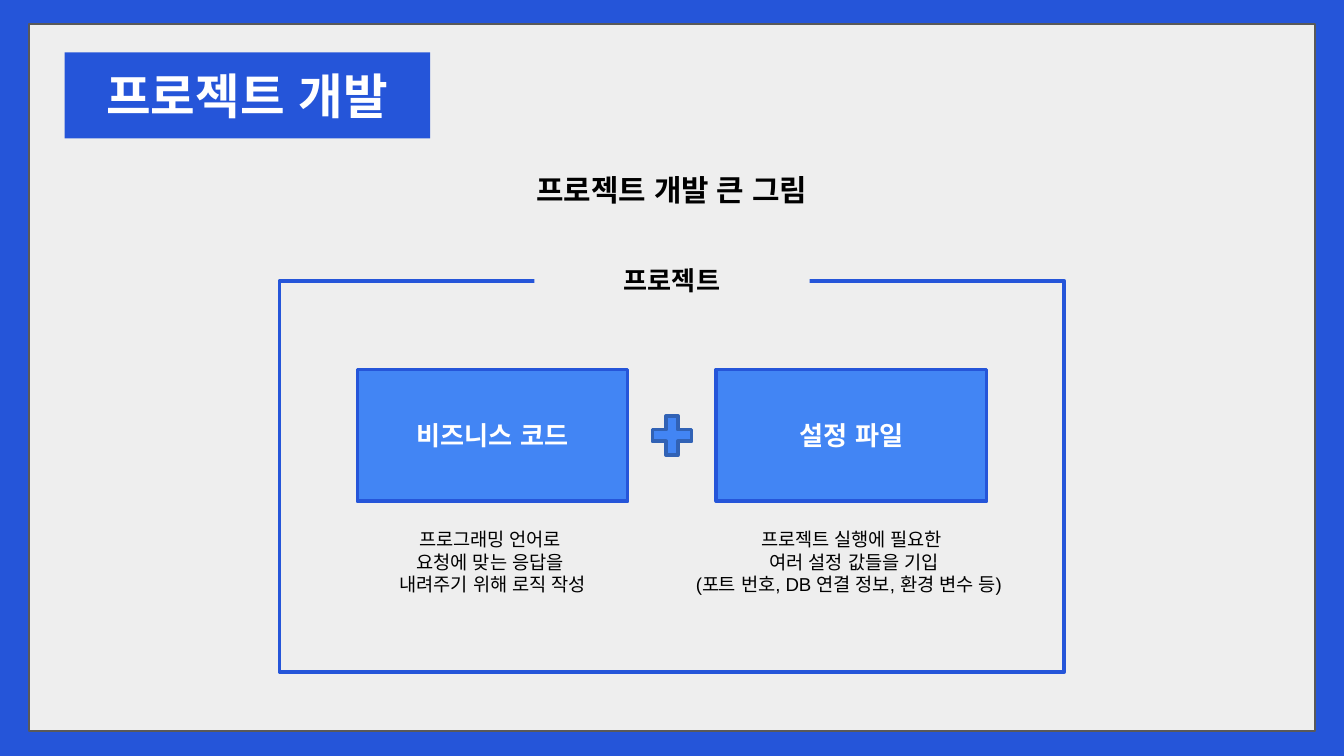
from lxml.etree import SubElement
from pptx import Presentation
from pptx.dml.color import RGBColor
from pptx.enum.shapes import MSO_SHAPE as Shape
from pptx.enum.text import MSO_ANCHOR as Anchor, MSO_AUTO_SIZE as AutoSize, PP_ALIGN as Align
from pptx.oxml.ns import qn
from pptx.util import Inches, Pt

# Content
TITLE = "프로젝트 개발"
SUBTITLE = "프로젝트 개발 큰 그림"
PROJECT = "프로젝트"
PARTS = [
    {"name": "비즈니스 코드", "caption_width": 2.52,
     "caption": ["프로그래밍 언어로 ", "요청에 맞는 응답을 ", "내려주기 위해 로직 작성"]},
    {"name": "설정 파일", "caption_width": 2.68,
     "caption": ["프로젝트 실행에 필요한", " 여러 설정 값들을 기입",
                 "(포트 번호, DB 연결 정보, 환경 변수 등) "]},
]
COLORS = {"blue": "2555D9", "panel": "EEEEEE", "edge": "595959", "box": "4285F4",
          "plus_edge": "3162B5", "black": "000000", "white": "FFFFFF"}
FONT = "Arial"

# Layout in inches, on a 16:9 slide
WIDTH = 10
HEIGHT = WIDTH * 9 / 16
CENTER = WIDTH / 2
BOX_WIDTH, BOX_HEIGHT, BOX_TOP = 2.01, 0.98, 2.75
BOX_GAP = 0.66
CAPTION_TOP = BOX_TOP + BOX_HEIGHT + 0.1
PLUS_SIZE = 0.29

deck = Presentation()
deck.slide_width, deck.slide_height = Inches(WIDTH), Inches(HEIGHT)
slide = deck.slides.add_slide(deck.slide_layouts[6])


def color(name):
    return RGBColor.from_string(COLORS[name])


def centered(middle, top, width, height):
    return middle - width / 2, top, width, height


def add_block(place, fill=None, line=None, line_width=2, kind=Shape.RECTANGLE):
    block = slide.shapes.add_shape(kind, *map(Inches, place))
    block.shadow.inherit = False
    if fill:
        block.fill.solid()
        block.fill.fore_color.rgb = color(fill)
    else:
        block.fill.background()
    if line:
        block.line.color.rgb = color(line)
        block.line.width = Pt(line_width)
    else:
        block.line.fill.background()
    return block


def add_label(place):
    return slide.shapes.add_textbox(*map(Inches, place))


def write(holder, lines, size, ink="black", bold=True, anchor=Anchor.TOP):
    frame = holder.text_frame
    frame.word_wrap = True
    frame.vertical_anchor = anchor
    if anchor == Anchor.TOP:
        frame.auto_size = AutoSize.SHAPE_TO_FIT_TEXT
        frame.margin_left = frame.margin_right = Inches(0.1)
        frame.margin_top = frame.margin_bottom = Inches(0.1)
    frame.text = "\n".join(lines)
    for paragraph in frame.paragraphs:
        paragraph.alignment = Align.CENTER
        paragraph.font.name = FONT
        paragraph.font.size = Pt(size)
        paragraph.font.bold = bold
        paragraph.font.color.rgb = color(ink)
        # Korean text takes the East Asian font
        defaults = paragraph._p.pPr.find(qn("a:defRPr"))
        SubElement(defaults, qn("a:ea")).set("typeface", FONT)


# Background and panel
slide.background.fill.solid()
slide.background.fill.fore_color.rgb = color("blue")
add_block(centered(CENTER, 0.18, 9.57, 5.26), "panel", "edge", 0.75)

# Headings
write(add_label(centered(CENTER, 1.18, 3.59, 0.47)), [SUBTITLE], 16)
write(add_block((0.48, 0.39, 2.72, 0.64), "blue"), [TITLE], 26, "white")

# Project frame, with its name interrupting the top edge
add_block(centered(CENTER, 2.09, 5.84, 2.91), line="blue")
write(add_block(centered(CENTER, 1.87, 2.05, 0.43), "panel"), [PROJECT], 14)

# Project parts and their captions
pitch = BOX_WIDTH + BOX_GAP
for column, part in enumerate(PARTS):
    middle = CENTER + (column - (len(PARTS) - 1) / 2) * pitch
    box = add_block(centered(middle, BOX_TOP, BOX_WIDTH, BOX_HEIGHT), "box", "blue")
    write(box, [part["name"]], 14, "white", anchor=Anchor.MIDDLE)
    caption = add_label(centered(middle, CAPTION_TOP, part["caption_width"], 0.71))
    write(caption, part["caption"], 10, bold=False)

# Plus sign between the parts
plus_top = BOX_TOP + (BOX_HEIGHT - PLUS_SIZE) / 2
plus = add_block(centered(CENTER, plus_top, PLUS_SIZE, PLUS_SIZE),
                 "box", "plus_edge", kind=Shape.CROSS)
plus.adjustments[0] = 0.35

deck.save("out.pptx")
